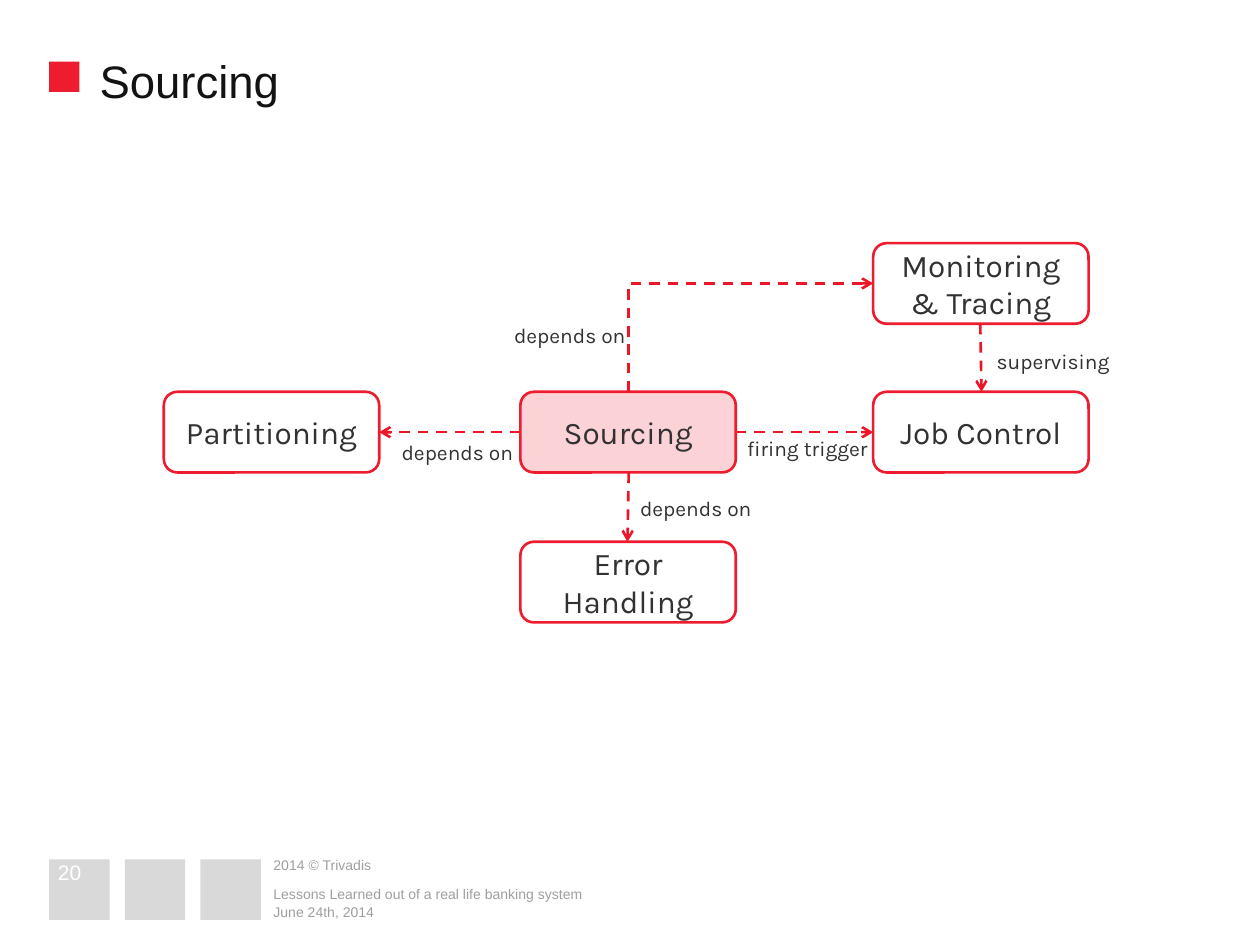
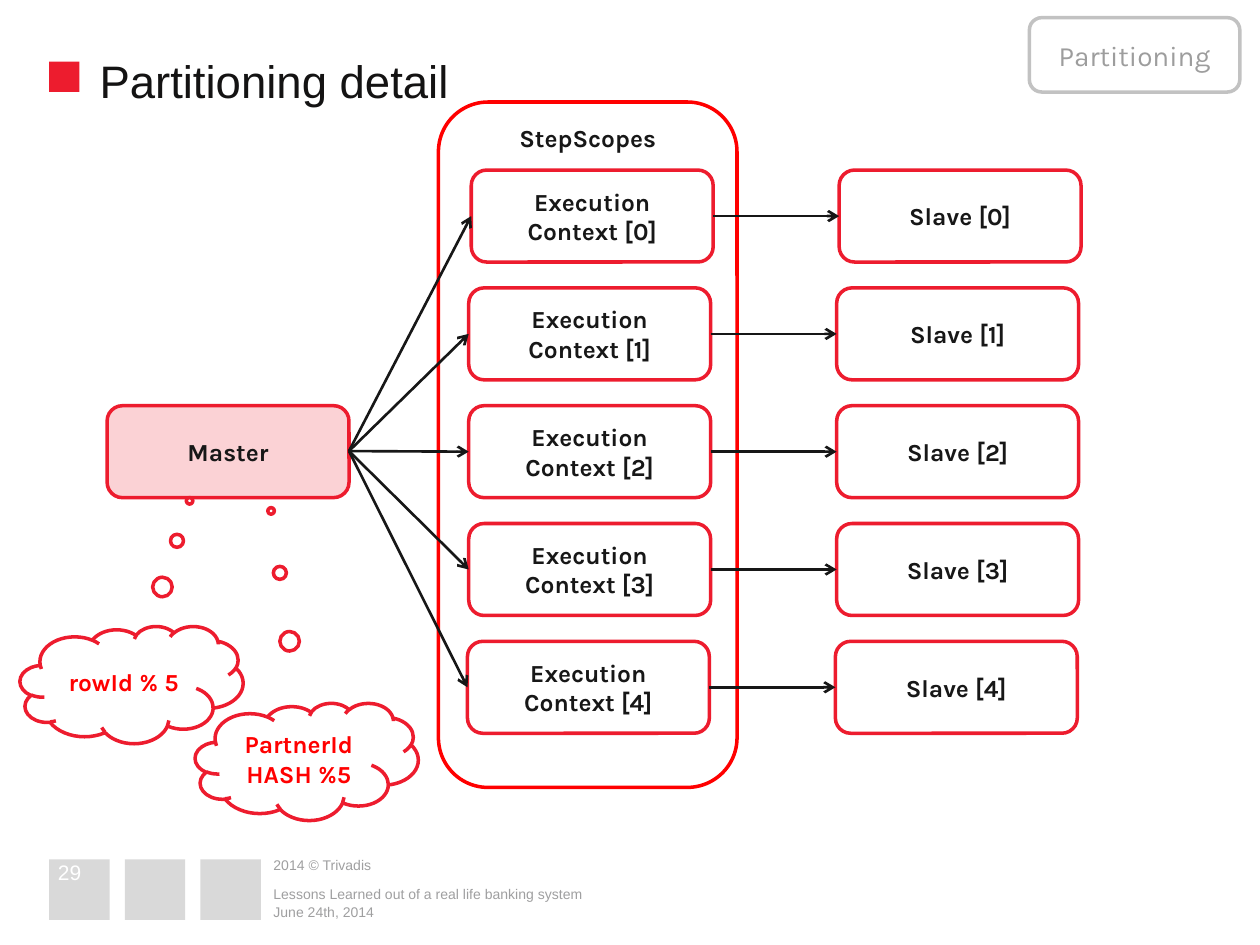
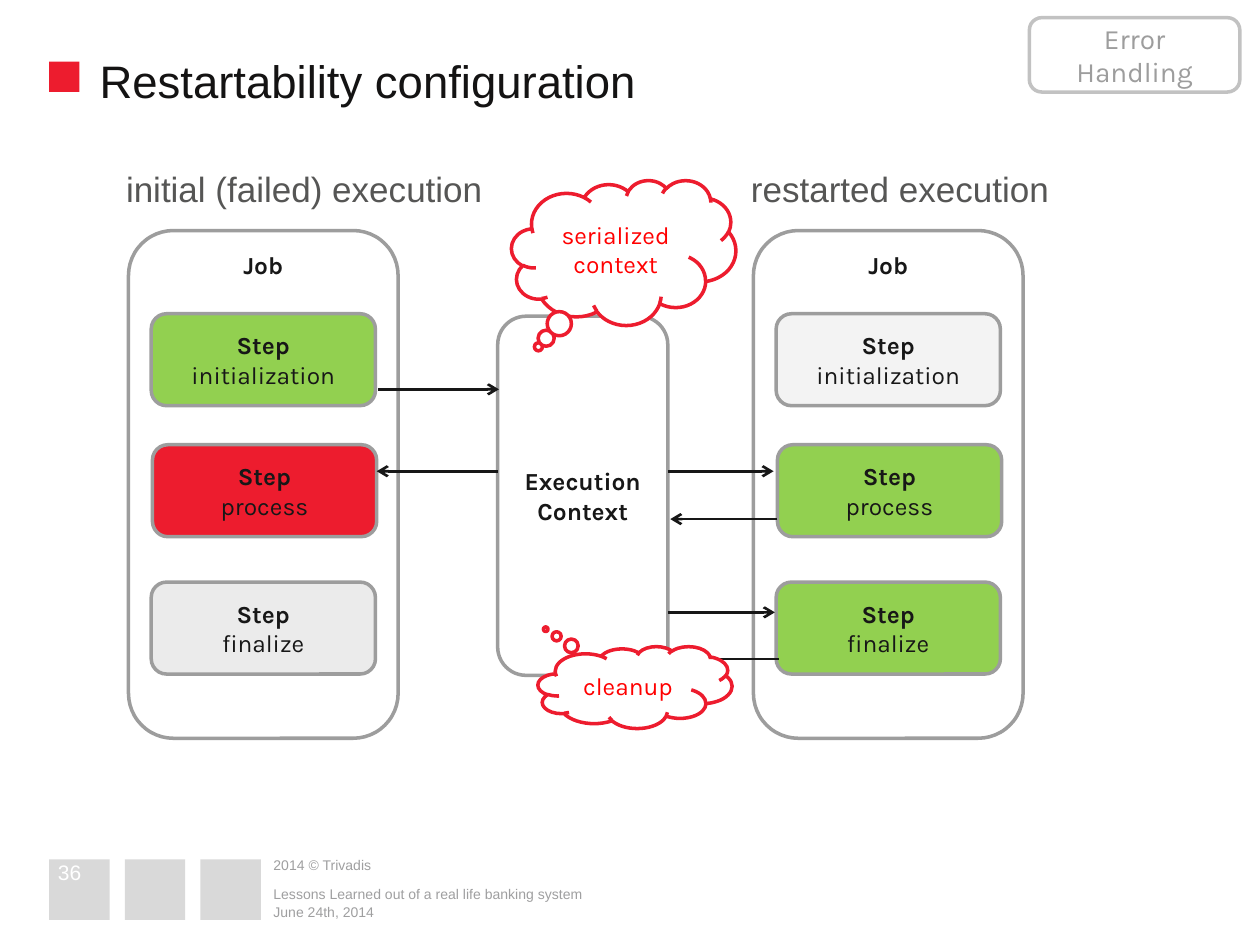
import pptx
import pptx.util
import pptx.dml.color
import pptx.enum.dml
import pptx.enum.shapes
import pptx.enum.text
import pptx.oxml.ns
import lxml.etree

Inches = pptx.util.Inches
Kind = pptx.enum.shapes.MSO_SHAPE
Align = pptx.enum.text.PP_ALIGN
Anchor = pptx.enum.text.MSO_ANCHOR
qn = pptx.oxml.ns.qn

RED, ROSE, PURE = "ED1C2E", "FBD2D5", "FF0000"
GREEN, PALE, MIST = "92D050", "EBEBEB", "F3F3F3"
GREY, DARK, INK = "9D9D9D", "323233", "171717"
WHITE = "FFFFFF"


def paint(target, tone):
    """Give a fill or line format a solid colour, or none."""
    if tone:
        target.solid()
        target.fore_color.rgb = pptx.dml.color.RGBColor.from_string(tone)
    else:
        target.background()


def write(frame, words, size=14, font="Karla", tone=INK, bold=False, tail=None,
          align=Align.LEFT, anchor=Anchor.TOP, inset=None):
    """Fill a text frame; tail sets the weight of runs after a line break."""
    frame.word_wrap = True
    frame.vertical_anchor = anchor
    if inset is not None:
        frame.margin_left = frame.margin_right = frame.margin_bottom = 0
        frame.margin_top = Inches(inset)
    for i, line in enumerate(words.split("\n")):
        para = frame.add_paragraph() if i else frame.paragraphs[0]
        para.text = line
        para.alignment = align
        for j, run in enumerate(para.runs):
            run.font.name = font
            run.font.size = pptx.util.Pt(size)
            run.font.bold = tail if j and tail is not None else bold
            paint(run.font.fill, tone)


def label(slide, box, words, inset=0, **form):
    """Add a text box with tight margins."""
    area = slide.shapes.add_textbox(*map(Inches, box))
    write(area.text_frame, words, inset=inset, **form)


def shape(slide, box, words="", kind=Kind.ROUNDED_RECTANGLE, fill=None, line=RED,
          width=2, adjust=(), anchor=Anchor.MIDDLE, **form):
    """Add a preset shape with centred text."""
    item = slide.shapes.add_shape(kind, *map(Inches, box))
    item.shadow.inherit = False
    paint(item.fill, fill)
    paint(item.line.fill, line)
    if line:
        item.line.width = pptx.util.Pt(width)
    for i, value in enumerate(adjust):
        item.adjustments[i] = value
    if words:
        write(item.text_frame, words, align=Align.CENTER, anchor=anchor, **form)


def arrow(slide, start, end, tone=INK, dash=False, bend=False):
    """Draw an arrow, which goes up and then right if bent."""
    (x1, y1), (x2, y2) = start, end
    kind = pptx.enum.shapes.MSO_CONNECTOR.STRAIGHT
    if bend:
        kind = pptx.enum.shapes.MSO_CONNECTOR.ELBOW
        midx, midy = (x1 + x2) / 2, (y1 + y2) / 2
        halfx, halfy = (y1 - y2) / 2, (x2 - x1) / 2
        x1, y1, x2, y2 = midx + halfx, midy + halfy, midx - halfx, midy - halfy
    link = slide.shapes.add_connector(kind, *map(Inches, (x1, y1, x2, y2)))
    props = link._element.spPr
    if bend:
        props.find(qn("a:xfrm")).set("rot", "5400000")
        props.find(qn("a:prstGeom")).set("prst", "bentConnector2")
    paint(link.line.fill, tone)
    link.line.width = pptx.util.Pt(1.5)
    if dash:
        link.line.dash_style = pptx.enum.dml.MSO_LINE.DASH
    head = lxml.etree.SubElement(props.find(qn("a:ln")), qn("a:tailEnd"))
    head.set("type", "arrow")
    lxml.etree.SubElement(props, qn("a:effectLst"))


def cloud(slide, box, words, adjust, bold=False):
    """Add a red thought bubble."""
    shape(slide, box, words, kind=Kind.CLOUD_CALLOUT, fill=WHITE,
          adjust=adjust, tone=PURE, bold=bold)


def base(deck, title, number, tag=None):
    """Add a slide with its title, footer and optional corner tag."""
    slide = deck.slides.add_slide(deck.slide_layouts[6])
    for i in range(3):
        shape(slide, (0.39 + i * 0.6, 6.82, 0.48, 0.48), kind=Kind.RECTANGLE,
              fill="D9D9D9", line=None)
    shape(slide, (0.39, 0.49, 0.24, 0.24), kind=Kind.RECTANGLE, fill=RED, line=None)
    label(slide, (0.79, 0.37, 8.95, 0.4), title, inset=0.05, size=26,
          font="Arial", tone="141313")
    note = dict(size=8, font="Arial", tone="9F9FA0")
    label(slide, (2.17, 6.79, 1.35, 0.15), "2014 © Trivadis", anchor=Anchor.MIDDLE, **note)
    label(slide, (2.17, 6.98, 5.36, 0.18),
          "Lessons Learned out of a real life banking system",
          anchor=Anchor.BOTTOM, **note)
    label(slide, (2.17, 7.12, 5.36, 0.18), "June 24th, 2014", anchor=Anchor.BOTTOM, **note)
    label(slide, (0.46, 6.84, 0.48, 0.17), number, size=12, font="Arial",
          tone=WHITE, anchor=Anchor.MIDDLE)
    if tag:
        shape(slide, (8.17, 0.14, 1.67, 0.59), tag, fill=WHITE, line="C2C2C2",
              size=16, tone=GREY)
    return slide


def graph(slide, left, top):
    """Draw the modules around sourcing and how they depend."""
    wide, high = 1.71, 0.64
    nodes = [("Error\nHandling", 2.83, 2.37, None),
             ("Monitoring\n& Tracing", 5.63, 0, WHITE),
             ("Job Control", 5.63, 1.18, WHITE),
             ("Sourcing", 2.83, 1.18, ROSE),
             ("Partitioning", 0, 1.18, WHITE)]
    for words, x, y, fill in nodes:
        shape(slide, (left + x, top + y, wide, high), words.replace("\n", " "),
              fill=fill, width=1.5, size=18, tone=DARK)
    links = [(2.83, 1.5, wide, 1.5, False), (3.69, 1.18, 5.63, 0.32, True),
             (3.69, 1.82, 3.68, 2.37, False), (4.54, 1.5, 5.63, 1.5, False),
             (6.48, high, 6.49, 1.18, False)]
    for x1, y1, x2, y2, bend in links:
        arrow(slide, (left + x1, top + y1), (left + x2, top + y2),
              tone="ED1629", dash=True, bend=bend)
    notes = [("depends on", 3.78, 2), ("depends on", 1.8, 1.56),
             ("depends on", 2.78, 0.63), ("firing trigger", 4.63, 1.53),
             ("supervising", 6.61, 0.84)]
    for words, x, y in notes:
        label(slide, (left + x, top + y, 1.06, 0.2), words, size=12, tone=DARK,
              align=Align.CENTER if x == 1.8 else Align.LEFT)


def fan(slide, left, top):
    """Draw the master, its step scopes and their slaves."""
    wide, high = 1.92, 0.73
    shape(slide, (left + 2.63, top, 2.37, 5.44), "StepScopes", line=PURE,
          anchor=Anchor.TOP, bold=True)
    shape(slide, (left, top + 2.41, wide, high), "Master", fill=ROSE, bold=True)
    for i, shift in enumerate((2.89, 2.87, 2.87, 2.87, 2.86)):
        x, y = left + shift, top + 0.54 + i * 3.74 / 4
        mid, far = y + high / 2, x + 2.92
        shape(slide, (x, y, wide, high), f"Execution\nContext [{i}]", bold=True)
        shape(slide, (far, y, wide, high), f"Slave [{i}]", bold=True)
        arrow(slide, (left + wide, top + 2.77), (x, mid))
        arrow(slide, (x + wide, mid), (far, mid))


def job(slide, left, top, title, fills):
    """Draw a headed job with its three steps."""
    label(slide, (left - 0.02, top - 0.5, 3.59, 0.42), title, size=20,
          font="Arial", tone="565655")
    shape(slide, (left, top, 2.14, 4.03), "Job", line=GREY, anchor=Anchor.TOP, bold=True)
    steps = [("initialization", 0.18, 0.66), ("process", 0.19, 1.7),
             ("finalize", 0.18, 2.79)]
    for (name, x, y), fill in zip(steps, fills):
        shape(slide, (left + x, top + y, 1.78, 0.73), f"Step\v{name}", fill=fill,
              line=GREY, bold=True, tail=False)


def store(slide, left, top):
    """Draw the execution context with its arrows and thoughts."""
    shape(slide, (left, top, 1.35, 2.85), "Execution Context", line=GREY, bold=True)
    links = [(-0.95, 0.01, 0.58), (0, -0.96, 1.23), (1.35, 2.19, 1.23),
             (2.22, 1.37, 1.61), (1.35, 2.2, 2.35), (2.23, 1.37, 2.72)]
    for x1, x2, y in links:
        arrow(slide, (left + x1, top + y), (left + x2, top + y))
    cloud(slide, (left + 0.32, top + 2.62, 1.54, 0.65), "cleanup", (-0.46, -0.71))
    cloud(slide, (left + 0.11, top - 1.08, 1.78, 1.15), "serialized context", (-0.38, 0.65))


def main():
    """Build the three slides and save them."""
    deck = pptx.Presentation()
    deck.slide_width, deck.slide_height = Inches(10), Inches(7.5)
    graph(base(deck, "Sourcing", "20"), 1.3, 1.93)

    slide = base(deck, "Partitioning detail", "29", "Partitioning")
    fan(slide, 0.85, 0.81)
    cloud(slide, (0.16, 4.97, 1.77, 0.93), "rowId % 5", (0.26, -1.57), bold=True)
    cloud(slide, (1.55, 5.58, 1.77, 0.93), "PartnerId\vHASH %5", (-0.16, -2.14), bold=True)

    slide = base(deck, "Restartability configuration", "36", "Error Handling")
    job(slide, 1.02, 1.83, "initial (failed) execution", (GREEN, RED, PALE))
    job(slide, 5.98, 1.83, "restarted execution", (MIST, GREEN, GREEN))
    store(slide, 3.95, 2.51)
    deck.save("out.pptx")


if __name__ == "__main__":
    main()
